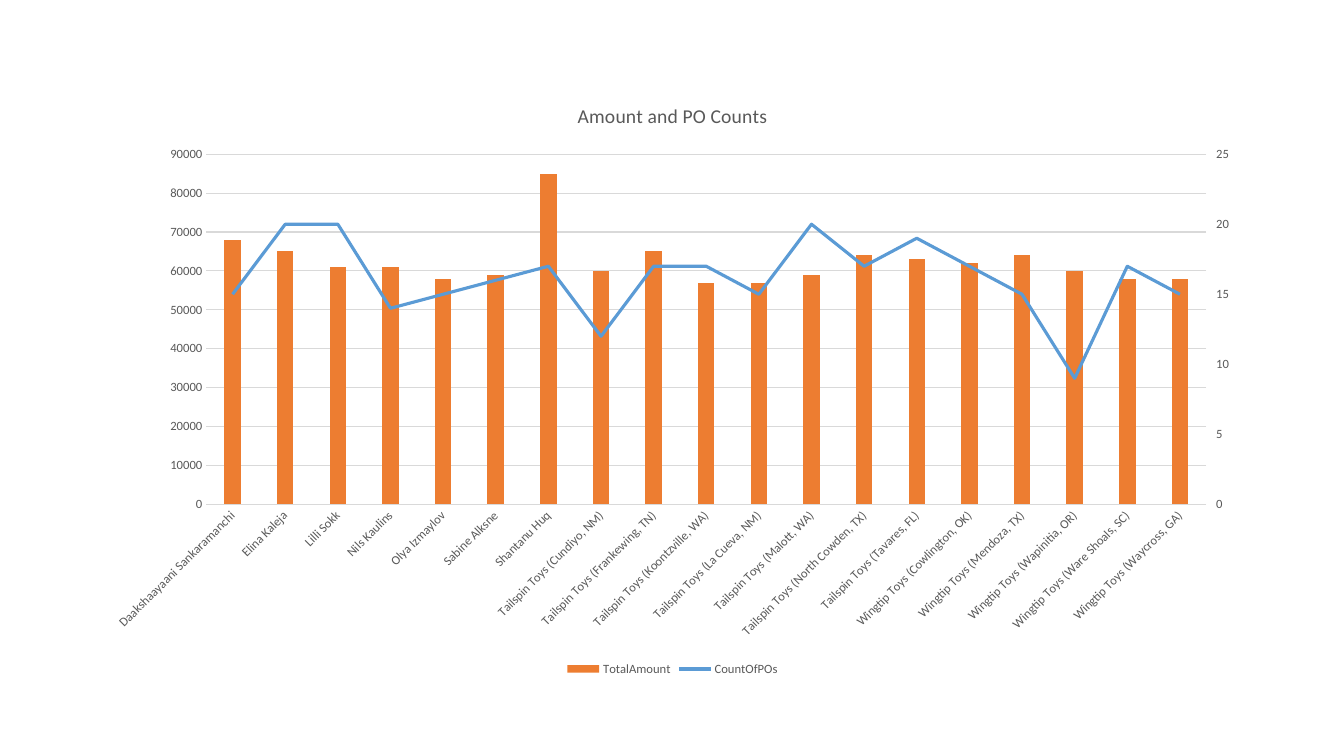
from copy import deepcopy

from pptx import Presentation
from pptx.chart.data import CategoryChartData
from pptx.dml.color import RGBColor
from pptx.enum.chart import XL_CHART_TYPE as ChartType
from pptx.enum.chart import XL_LEGEND_POSITION as LegendPosition
from pptx.enum.chart import XL_TICK_MARK as TickMark
from pptx.oxml import parse_xml
from pptx.oxml.ns import nsdecls, qn
from pptx.util import Inches, Pt

# Content
TITLE = "Amount and PO Counts"
ROWS = [  # name, total amount, count of POs
    ("Daakshaayaani Sankaramanchi", 68000, 15),
    ("Elina Kaleja", 65000, 20),
    ("Lilli Sokk", 61000, 20),
    ("Nils Kaulins", 61000, 14),
    ("Olya Izmaylov", 58000, 15),
    ("Sabine Alksne", 59000, 16),
    ("Shantanu Huq", 85000, 17),
    ("Tailspin Toys (Cundiyo, NM)", 60000, 12),
    ("Tailspin Toys (Frankewing, TN)", 65000, 17),
    ("Tailspin Toys (Koontzville, WA)", 57000, 17),
    ("Tailspin Toys (La Cueva, NM)", 57000, 15),
    ("Tailspin Toys (Malott, WA)", 59000, 20),
    ("Tailspin Toys (North Cowden, TX)", 64000, 17),
    ("Tailspin Toys (Tavares, FL)", 63000, 19),
    ("Wingtip Toys (Cowlington, OK)", 62000, 17),
    ("Wingtip Toys (Mendoza, TX)", 64000, 15),
    ("Wingtip Toys (Wapinitia, OR)", 60000, 9),
    ("Wingtip Toys (Ware Shoals, SC)", 58000, 17),
    ("Wingtip Toys (Waycross, GA)", 58000, 15),
]

FONT = "Calibri"
BLACK = RGBColor(0x00, 0x00, 0x00)
GRAY = RGBColor(0x59, 0x59, 0x59)
GRID = RGBColor(0xD9, 0xD9, 0xD9)
ORANGE = RGBColor(0xED, 0x7D, 0x31)
BLUE = RGBColor(0x5B, 0x9B, 0xD5)
RIGHT_CATEGORY_ID, RIGHT_VALUE_ID = "50010", "50020"


def set_font(font, size, color):
    font.name, font.size, font.bold = FONT, Pt(size), False
    font.color.rgb = color


def set_line(line, color, width):
    line.color.rgb = color
    line.width = Pt(width)


def remove_children(element, tag):
    for child in element.findall(qn(tag)):
        element.remove(child)


def copy_axis(axis, axis_id, cross_id, **values):
    """Add a secondary axis that keeps the formatting of a primary one."""
    element = deepcopy(axis)
    remove_children(element, "c:majorGridlines")
    values.update(axId=axis_id, crossAx=cross_id)
    for tag, value in values.items():
        element.find(".//" + qn("c:" + tag)).set("val", value)
    axis.getparent().append(element)
    axis.addnext(element)


def move_to_right_axis(plot_area, columns):
    """Turn the second column series into a line on its own axes."""
    line_chart = parse_xml(
        f'<c:lineChart {nsdecls("c")}><c:grouping val="standard"/>'
        '<c:varyColors val="0"/><c:marker val="1"/>'
        f'<c:axId val="{RIGHT_CATEGORY_ID}"/><c:axId val="{RIGHT_VALUE_ID}"/>'
        "</c:lineChart>")
    series = columns.findall(qn("c:ser"))[1]
    remove_children(series, "c:invertIfNegative")
    series.find(qn("c:tx")).addnext(parse_xml(
        f'<c:marker {nsdecls("c")}><c:symbol val="none"/></c:marker>'))
    line_chart.insert(2, series)
    columns.addnext(line_chart)
    copy_axis(plot_area.find(qn("c:valAx")), RIGHT_VALUE_ID,
              RIGHT_CATEGORY_ID, axPos="r", crosses="max", max="25",
              majorUnit="5", majorTickMark="out")
    copy_axis(plot_area.find(qn("c:catAx")), RIGHT_CATEGORY_ID,
              RIGHT_VALUE_ID, delete="1")


# Slide
presentation = Presentation()
presentation.slide_width, presentation.slide_height = Inches(13.33), Inches(7.5)
slide = presentation.slides.add_slide(presentation.slide_layouts[6])

# Chart
names, amounts, counts = zip(*ROWS)
data = CategoryChartData()
data.categories = names
data.add_series("TotalAmount", amounts)
data.add_series("CountOfPOs", counts)
chart = slide.shapes.add_chart(
    ChartType.COLUMN_CLUSTERED, Inches(0.92), Inches(0.81),
    Inches(11.5), Inches(5.94), data).chart
set_font(chart.font, 10, BLACK)

# Title and legend
chart.has_title = True
title_run = chart.chart_title.text_frame.paragraphs[0].add_run()
title_run.text = TITLE
set_font(title_run.font, 14, GRAY)
chart.has_legend = True
chart.legend.position = LegendPosition.BOTTOM
chart.legend.include_in_layout = False
set_font(chart.legend.font, 9, GRAY)

# Primary axes
category_axis, value_axis = chart.category_axis, chart.value_axis
for axis in (category_axis, value_axis):
    set_font(axis.tick_labels.font, 9, GRAY)
    axis.major_tick_mark = axis.minor_tick_mark = TickMark.NONE
set_line(category_axis.format.line, GRID, 0.75)
value_axis.format.line.fill.background()
set_line(value_axis.major_gridlines.format.line, GRID, 0.75)
value_axis.minimum_scale, value_axis.maximum_scale = 0, 90000
value_axis.major_unit = 10000

# Columns, and the line on the right axis
plot_area = chart.element.find(".//" + qn("c:plotArea"))
label_body = plot_area.find(f"{qn('c:catAx')}/{qn('c:txPr')}/{qn('a:bodyPr')}")
label_body.set("rot", "-2700000")
move_to_right_axis(plot_area, plot_area.find(qn("c:barChart")))
column_plot, line_plot = chart.plots
column_plot.gap_width = 219
column_plot.vary_by_categories = False
amount_series = column_plot.series[0]
amount_series.invert_if_negative = False
amount_series.format.fill.solid()
amount_series.format.fill.fore_color.rgb = ORANGE
count_series = line_plot.series[0]
count_series.smooth = False
set_line(count_series.format.line, BLUE, 2.25)

presentation.save("out.pptx")
